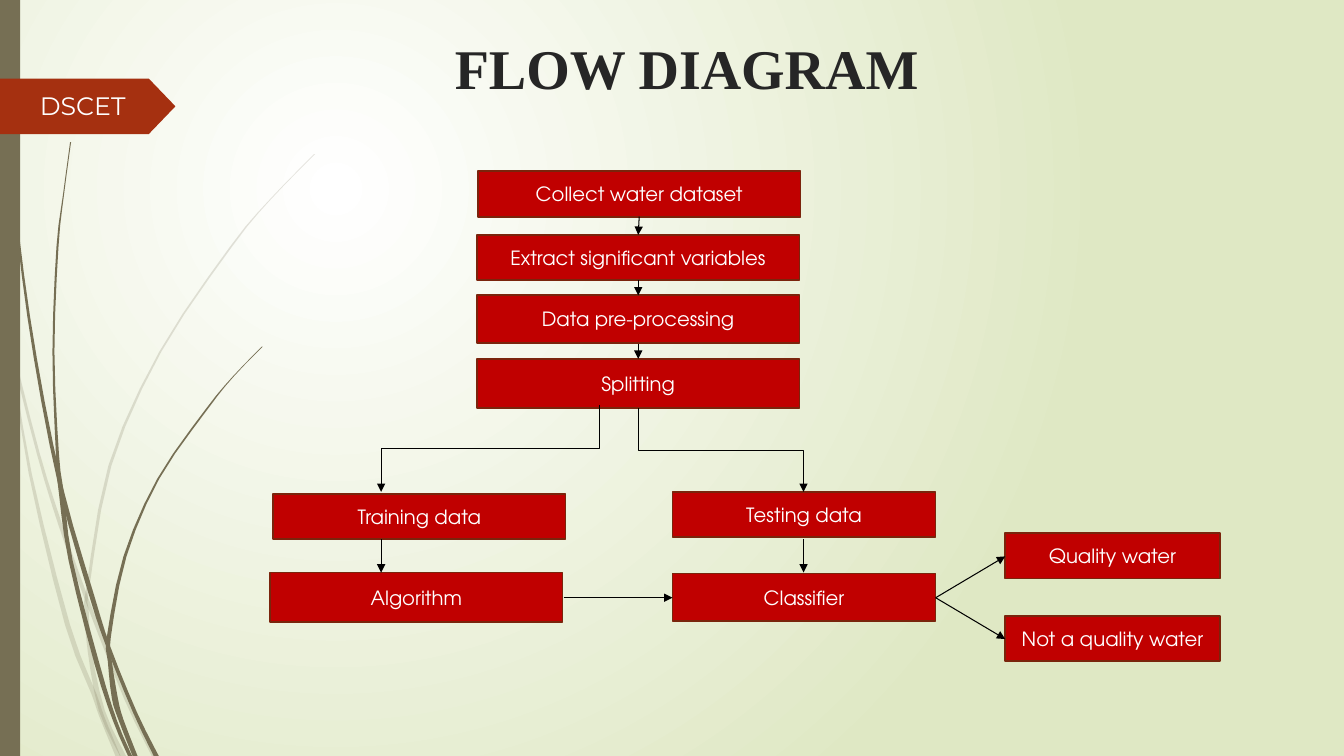
from lxml import etree
from pptx import Presentation
from pptx import util as u
from pptx.dml.color import RGBColor
from pptx.enum import shapes, text
from pptx.oxml import parse_xml
from pptx.oxml.ns import nsdecls, qn

COLORS = {
    "olive": "766F54",
    "rust": "A53010",
    "red": "C00000",
    "border": "7A240C",
    "black": "000000",
    "title": "262626",
    "white": "FFFFFF",
    "pale": "DFE8C4",
}

deck = Presentation()
deck.slide_width, deck.slide_height = u.Inches(13.33), u.Inches(7.5)
page = deck.slides.add_slide(deck.slide_layouts[6])


def write(shape, words, size, font, color="white", bold=False,
          anchor=text.MSO_ANCHOR.MIDDLE):
    frame = shape.text_frame
    frame.word_wrap = True
    frame.vertical_anchor = anchor
    para = frame.paragraphs[0]
    para.alignment = text.PP_ALIGN.CENTER
    span = para.add_run()
    span.text = words
    span.font.size = u.Pt(size)
    span.font.name = font
    span.font.bold = bold
    span.font.color.rgb = RGBColor.from_string(COLORS[color])


def paint(shape, fill, border=None):
    shape.shadow.inherit = False
    shape.fill.solid()
    shape.fill.fore_color.rgb = RGBColor.from_string(COLORS[fill])
    if border:
        shape.line.color.rgb = RGBColor.from_string(COLORS[border])
        shape.line.width = u.Pt(1.25)
    else:
        shape.line.fill.background()


backdrop = page.background.fill
backdrop.gradient()
properties = page.background._cSld.find(qn("p:bg")).find(qn("p:bgPr"))
properties.replace(properties.find(qn("a:gradFill")), parse_xml(
    f'<a:gradFill {nsdecls("a")} rotWithShape="1"><a:gsLst>'
    f'<a:gs pos="0"><a:srgbClr val="{COLORS["white"]}"/></a:gs>'
    f'<a:gs pos="100000"><a:srgbClr val="{COLORS["pale"]}"/></a:gs></a:gsLst>'
    '<a:path path="circle"><a:fillToRect l="50000" t="50000" r="100000" b="100000"/>'
    '</a:path></a:gradFill>'))

blades = [
    (20, [(0, 2.9, .03), (.12, 3.47, .03), (.38, 4.5, .03), (.6, 5.21, .04),
          (.87, 5.97, .04), (1.25, 6.93, .04), (1.53, 7.5, .05)]),
    (20, [(.11, 3.5, .01), (.3, 4.7, .03), (.67, 6.2, .05), (.93, 6.88, .05),
          (1.01, 7.11, .05), (1.17, 7.5, .05)]),
    (20, [(3.12, 1.53, .01), (2.68, 1.98, .01), (2.29, 2.45, .02), (1.59, 3.49, .02),
          (1.09, 4.62, .03), (.87, 5.84, .03), (.86, 6.05, .04), (.89, 6.46, .04),
          (1.01, 7.05, .06), (1.22, 7.5, .06)]),
    (100, [(.04, 0, .01), (.05, .48, .01), (.08, 1.1, .01), (.18, 2.33, .02),
           (.35, 3.55, .03), (.6, 4.82, .04), (.91, 5.91, .05), (1.08, 6.43, .04),
           (1.34, 7.07, .04), (1.55, 7.5, .05)]),
    (100, [(.7, 1.41, .01), (.63, 1.93, .01), (.57, 2.45, .02), (.53, 3.49, .02),
           (.57, 4.51, .03), (.61, 4.9, .05), (.7, 5.56, .04), (.96, 6.58, .05),
           (1.14, 7.15, .04), (1.29, 7.5, .04)]),
    (100, [(2.6, 3.44, .01), (2.31, 3.74, .01), (2.05, 4.06, .02), (1.57, 4.75, .02),
           (1.24, 5.52, .03), (1.08, 6.32, .04), (1.09, 6.56, .04), (1.14, 6.93, .06),
           (1.2, 7.14, .05), (1.34, 7.5, .05)]),
]
STEPS = 3
for opacity, knots in blades:
    padded = [knots[0], *knots, knots[-1]]
    spine = []
    for before, start, end, after in zip(padded, padded[1:], padded[2:], padded[3:]):
        for step in range(STEPS):
            t = step / STEPS
            spine.append([
                (2 * b + (c - a) * t + (2 * a - 5 * b + 4 * c - d) * t ** 2
                 + (3 * b - a - 3 * c + d) * t ** 3) / 2
                for a, b, c, d in zip(before, start, end, after)])
    spine.append(knots[-1])
    edges = [(x - width / 2, y) for x, y, width in spine]
    edges += [(x + width / 2, y) for x, y, width in reversed(spine)]
    outline = [(u.Inches(x), u.Inches(y)) for x, y in edges]
    builder = page.shapes.build_freeform(*outline[0])
    builder.add_line_segments(outline[1:], close=True)
    blade = builder.convert_to_shape()
    paint(blade, "olive")
    if opacity < 100:
        tint = blade._element.spPr.find(qn("a:solidFill"))[0]
        etree.SubElement(tint, qn("a:alpha")).set("val", str(opacity * 1000))

RECTANGLE = shapes.MSO_SHAPE.RECTANGLE
bar = page.shapes.add_shape(RECTANGLE, 0, 0, u.Inches(.2), deck.slide_height)
paint(bar, "olive")

tag = page.shapes.add_shape(shapes.MSO_SHAPE.PENTAGON, 0, u.Inches(.78),
                            u.Inches(1.74), u.Inches(.55))
tag.adjustments[0] = .48
paint(tag, "rust")

heading = page.shapes.add_textbox(u.Inches(2.1), u.Inches(.28),
                                  u.Inches(9.42), u.Inches(1.41))
write(heading, "FLOW DIAGRAM", 40, "Times New Roman", color="title", bold=True,
      anchor=text.MSO_ANCHOR.TOP)

stages = [
    ("Collect water dataset", 4.74, 1.7, 3.2, .45),
    ("Extract significant variables", 4.73, 2.33, 3.2, .45),
    ("Data pre-processing", 4.73, 2.93, 3.2, .47),
    ("Splitting", 4.73, 3.56, 3.2, .49),
    ("Training data", 2.71, 4.9, 2.9, .45),
    ("Algorithm", 2.68, 5.68, 2.9, .49),
    ("Testing data", 6.67, 4.88, 2.61, .45),
    ("Classifier", 6.67, 5.69, 2.61, .47),
    ("Quality water", 9.97, 5.29, 2.13, .45),
    ("Not a quality water", 9.97, 6.11, 2.13, .45),
]
for words, *bounds in stages:
    box = page.shapes.add_shape(RECTANGLE, *map(u.Inches, bounds))
    paint(box, "red", border="border")
    write(box, words, 14, "TeX Gyre Adventor")

arrows = [
    (6.34, 2.15, 6.33, 2.33), (6.33, 2.78, 6.33, 2.93), (6.33, 3.41, 6.33, 3.56),
    (5.95, 4.02, 3.78, 4.88), (6.33, 4.05, 7.97, 4.88),
    (3.78, 5.35, 3.78, 5.68), (7.97, 5.35, 7.97, 5.68),
    (5.59, 5.93, 6.67, 5.93), (9.28, 5.93, 9.97, 5.52), (9.28, 5.93, 9.97, 6.34),
]
for x1, y1, x2, y2 in arrows:
    kind, ends, turn = shapes.MSO_CONNECTOR.STRAIGHT, (x1, y1, x2, y2), 0
    if y1 < 4.5 and abs(x2 - x1) > 1:
        kind = shapes.MSO_CONNECTOR.ELBOW
        run, drop = abs(x2 - x1), y2 - y1
        left, top = (x1 + x2 - drop) / 2, (y1 + y2 - run) / 2
        if x2 < x1:
            ends, turn = (left, top, left + drop, top + run), 90
        else:
            ends, turn = (left + drop, top, left, top + run), 270
    arrow = page.shapes.add_connector(kind, *map(u.Inches, ends))
    arrow.line.color.rgb = RGBColor.from_string(COLORS["black"])
    arrow.line.width = u.Pt(.75)
    frame = arrow._element.spPr
    if turn:
        frame.find(qn("a:xfrm")).set("rot", str(turn * 60000))
    etree.SubElement(frame.find(qn("a:ln")), qn("a:tailEnd")).set("type", "triangle")
    etree.SubElement(frame, qn("a:effectLst"))

label = page.shapes.add_shape(RECTANGLE, u.Inches(.16), u.Inches(.9),
                              u.Inches(1.32), u.Inches(.3))
paint(label, "rust")
write(label, "DSCET", 18, "Montserrat")

deck.save("out.pptx")
